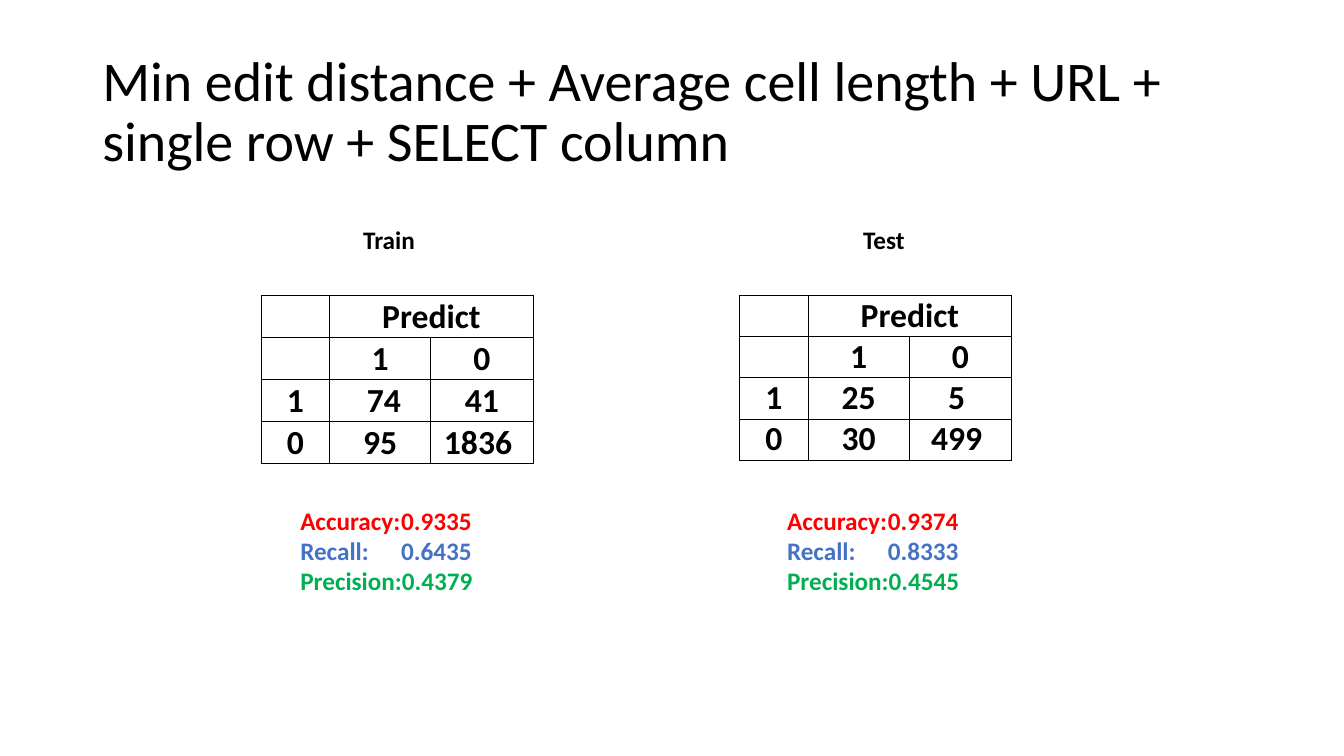
import dataclasses

import lxml.etree
import pptx
import pptx.dml.color
import pptx.enum.text
import pptx.oxml.ns
import pptx.util

Pt = pptx.util.Pt
Align = pptx.enum.text.PP_ALIGN
Anchor = pptx.enum.text.MSO_ANCHOR


@dataclasses.dataclass(frozen=True)
class Theme:
    font: str = "Calibri"
    black: str = "000000"
    red: str = "FF0000"
    blue: str = "4472C4"
    green: str = "00B050"
    title_size: int = 40
    table_size: int = 24
    body_size: int = 18
    border_width: float = 0.5


class SlideBuilder:
    def __init__(self, slide, theme):
        self.slide = slide
        self.theme = theme

    def style(self, paragraph, size, color, bold=True, align=Align.LEFT):
        paragraph.alignment = align
        font = paragraph.font
        font.name = self.theme.font
        font.size = Pt(size)
        font.bold = bold
        font.color.rgb = pptx.dml.color.RGBColor.from_string(color)

    def text(self, box, lines, size, bold=True, align=Align.LEFT, anchor=Anchor.TOP, spacing=1.0):
        shape = self.slide.shapes.add_textbox(*map(Pt, box))
        frame = shape.text_frame
        frame.word_wrap = True
        frame.vertical_anchor = anchor
        frame.text = "\n".join(line for line, color in lines)
        for paragraph, (line, color) in zip(frame.paragraphs, lines):
            self.style(paragraph, size, color, bold, align)
            paragraph.line_spacing = spacing

    def border(self, cell):
        properties = cell._tc.get_or_add_tcPr()
        for side in ("a:lnL", "a:lnR", "a:lnT", "a:lnB"):
            line = lxml.etree.SubElement(properties, pptx.oxml.ns.qn(side), w=str(Pt(self.theme.border_width)))
            fill = lxml.etree.SubElement(line, pptx.oxml.ns.qn("a:solidFill"))
            lxml.etree.SubElement(fill, pptx.oxml.ns.qn("a:srgbClr"), val=self.theme.black)

    def table(self, left, top, widths, row_height, rows):
        frame = self.slide.shapes.add_table(
            len(rows), len(widths), Pt(left), Pt(top), Pt(sum(widths)), Pt(row_height * len(rows)))
        table = frame.table
        table.first_row = table.horz_banding = False
        for column, width in zip(table.columns, widths):
            column.width = Pt(width)
        for row_index, values in enumerate(rows):
            table.rows[row_index].height = Pt(row_height)
            for column_index, value in enumerate(values):
                cell = table.cell(row_index, column_index)
                self.border(cell)
                cell.fill.background()
                cell.vertical_anchor = Anchor.BOTTOM
                cell.margin_left = cell.margin_right = Pt(0.7)
                cell.margin_top = cell.margin_bottom = 0
                cell.text = value
                self.style(cell.text_frame.paragraphs[0], self.theme.table_size,
                           self.theme.black, align=Align.CENTER)
        table.cell(0, 1).merge(table.cell(0, 2))


def main():
    presentation = pptx.Presentation()
    presentation.slide_width = Pt(960)
    presentation.slide_height = Pt(540)
    theme = Theme()
    builder = SlideBuilder(presentation.slides.add_slide(presentation.slide_layouts[6]), theme)

    title = "Min edit distance + Average cell length + URL + single row + SELECT column"
    builder.text((66, 28.75, 828, 104.4), [(title, theme.black)], theme.title_size,
                 bold=False, anchor=Anchor.MIDDLE, spacing=0.9)

    results = [
        ("Train", 207.4, 186.4, 207.4, 30,
         [" 74", "41"], ["95", "1836\u00a0"], ("0.9335", "0.6435", "0.4379")),
        ("Test", 560.9, 528.2, 555.1, 29.4,
         [" 25\u00a0", "5\u00a0"], ["30", "499\u00a0"], ("0.9374", "0.8333", "0.4545")),
    ]
    metrics = [("Accuracy:\t", theme.red), ("Recall:\t", theme.blue), ("Precision:", theme.green)]

    for name, name_left, table_left, score_left, row_height, positive, negative, scores in results:
        builder.text((name_left, 156.4, 141, 29), [(name, theme.black)], theme.body_size, align=Align.CENTER)
        rows = [["", "Predict", ""], ["", "1", "0"], ["1", *positive], ["0", *negative]]
        builder.table(table_left, 211, (49, 72.2, 73.2), row_height, rows)
        lines = [(label + score, color) for (label, color), score in zip(metrics, scores)]
        builder.text((score_left, 357.2, 153.4, 72.7), lines, theme.body_size)

    presentation.save("out.pptx")


main()
